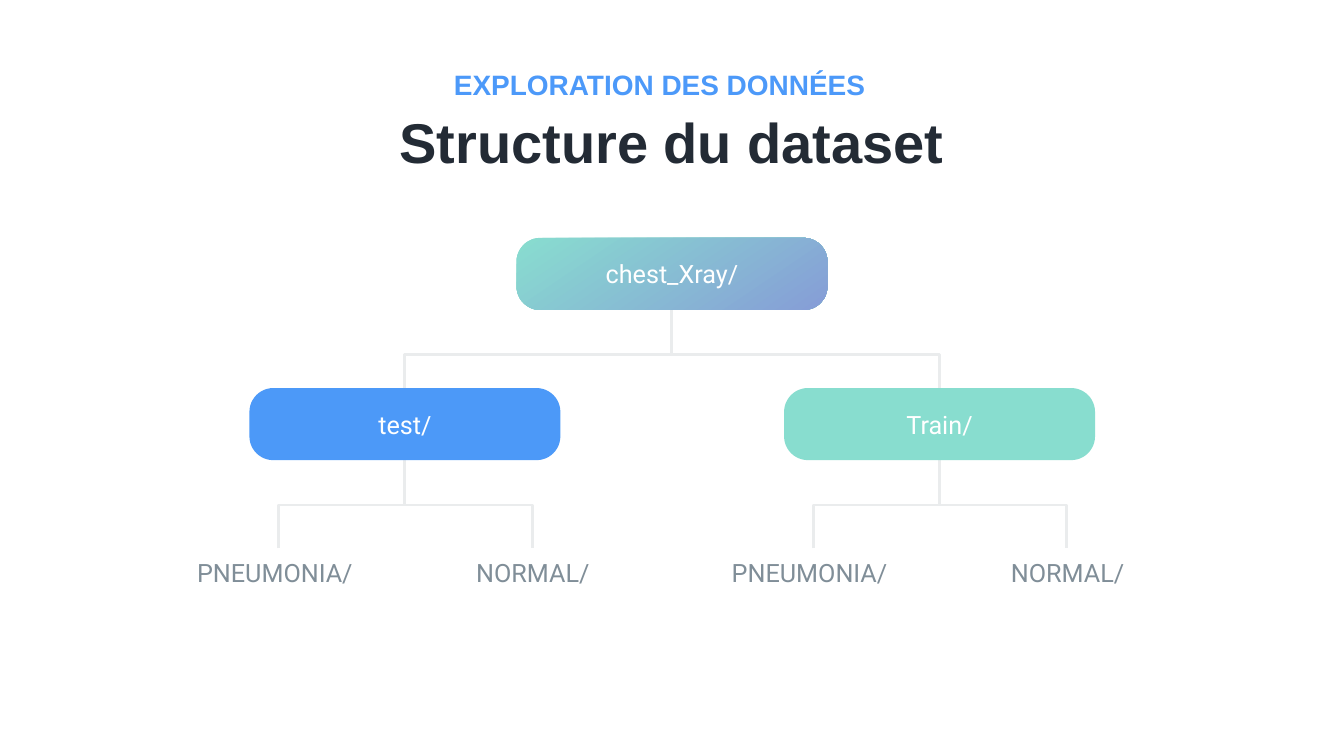
from lxml.etree import SubElement
from pptx import Presentation
from pptx.dml.color import RGBColor
from pptx.enum.dml import MSO_FILL
from pptx.enum.shapes import MSO_CONNECTOR, MSO_SHAPE
from pptx.enum.text import MSO_ANCHOR, MSO_AUTO_SIZE, PP_ALIGN
from pptx.oxml.ns import qn
from pptx.util import Inches, Pt

BLUE = RGBColor(0x4C, 0x99, 0xF8)
SKY = RGBColor(0x4C, 0x99, 0xF9)
MINT = RGBColor(0x88, 0xDD, 0xCF)
LILAC = RGBColor(0x86, 0x9D, 0xD7)
WHITE = RGBColor(0xFF, 0xFF, 0xFF)
INK = RGBColor(0x23, 0x2B, 0x35)
SLATE = RGBColor(0x80, 0x8E, 0x98)
PALE = RGBColor(0xEA, 0xEC, 0xED)

INSET = Inches(0.1)
FRAME = {
    "margin_left": INSET, "margin_right": INSET,
    "margin_top": INSET, "margin_bottom": INSET,
    "word_wrap": True, "vertical_anchor": MSO_ANCHOR.TOP,
    "auto_size": MSO_AUTO_SIZE.SHAPE_TO_FIT_TEXT,
}
CENTER = {"vertical_anchor": MSO_ANCHOR.MIDDLE, "auto_size": MSO_AUTO_SIZE.NONE}
BODY = {"name": "Roboto", "size": Pt(36), "bold": False}
KICKER = {"name": "Arial", "size": Pt(40), "bold": True}
TITLE = {"name": "Arial", "size": Pt(80), "bold": True}

NODE_W, NODE_H = 6.17, 1.43
LABEL_W, LABEL_H = 3.35, 0.87


def apply(item, style):
    for key, value in style.items():
        setattr(item, key, value)


def write(shape, text, font, color, frame=FRAME, align=PP_ALIGN.CENTER):
    body = shape.text_frame
    apply(body, frame)
    line = body.paragraphs[0]
    line.alignment = align
    run = line.add_run()
    run.text = text
    apply(run.font, font)
    run.font.color.rgb = color


def label(slide, box, text, font, color, align=PP_ALIGN.CENTER):
    shape = slide.shapes.add_textbox(*map(Inches, box))
    write(shape, text, font, color, align=align)


def stroke(shape):
    shape.line.color.rgb = PALE
    shape.line.width = Pt(4)


def bracket(slide, left, top, width, height):
    right, base = left + width, top + height
    points = [(left, base), (left, top), (right, top), (right, base)]
    start, *rest = [(Inches(x), Inches(y)) for x, y in points]
    pen = slide.shapes.build_freeform(*start)
    pen.add_line_segments(rest, close=False)
    shape = pen.convert_to_shape()
    shape.shadow.inherit = False
    shape.fill.background()
    stroke(shape)


def stem(slide, x, top, base):
    line = slide.shapes.add_connector(
        MSO_CONNECTOR.STRAIGHT, Inches(x), Inches(base), Inches(x), Inches(top))
    stroke(line)
    SubElement(line._element.spPr, qn("a:effectLst"))


def node(slide, left, top, text, colors):
    shape = slide.shapes.add_shape(
        MSO_SHAPE.ROUNDED_RECTANGLE,
        *map(Inches, (left, top, NODE_W, NODE_H)))
    shape.adjustments[0] = 0.33
    shape.shadow.inherit = False
    shape.line.fill.background()
    if len(colors) > 1:
        shape.fill.gradient()
        shape.fill.gradient_angle = 304
        for stop, color in zip(shape.fill.gradient_stops, colors):
            stop.color.rgb = color
    else:
        shape.fill.solid()
        shape.fill.fore_color.rgb = colors[0]
    write(shape, text, BODY, WHITE, {**FRAME, **CENTER})


def header(slide, left, top):
    label(slide, (left + 3.19, top, 8.86, 0.87),
          "EXPLORATION DES DONNÉES", KICKER, SKY, PP_ALIGN.LEFT)
    label(slide, (left, top + 0.8, 15.23, 1.53),
          "Structure du dataset", TITLE, INK)


def root(slide, left, top):
    stem(slide, left + 3.07, top + 1.35, top + 2.31)
    bracket(slide, left - 2.22, top + 2.31, 10.61, 3)
    node(slide, left, top, "chest_Xray/", [MINT, LILAC])


def branch(slide, left, top, text, color):
    bracket(slide, left, top + 2.32, 5.03, 0.86)
    node(slide, left - 0.58, top, text, [color])
    for shift, leaf in ((-1.75, "PNEUMONIA/"), (3.37, "NORMAL/")):
        label(slide, (left + shift, top + 3.26, LABEL_W, LABEL_H),
              leaf, BODY, SLATE)


def main():
    deck = Presentation()
    apply(deck, {"slide_width": Inches(26.67), "slide_height": Inches(15)})
    slide = deck.slides.add_slide(deck.slide_layouts[6])
    header(slide, 5.72, 1.24)
    root(slide, 10.25, 4.72)
    for left, text, color in ((5.53, "test/", BLUE), (16.14, "Train/", MINT)):
        branch(slide, left, 7.7, text, color)
    deck.save("out.pptx")


if __name__ == "__main__":
    main()
